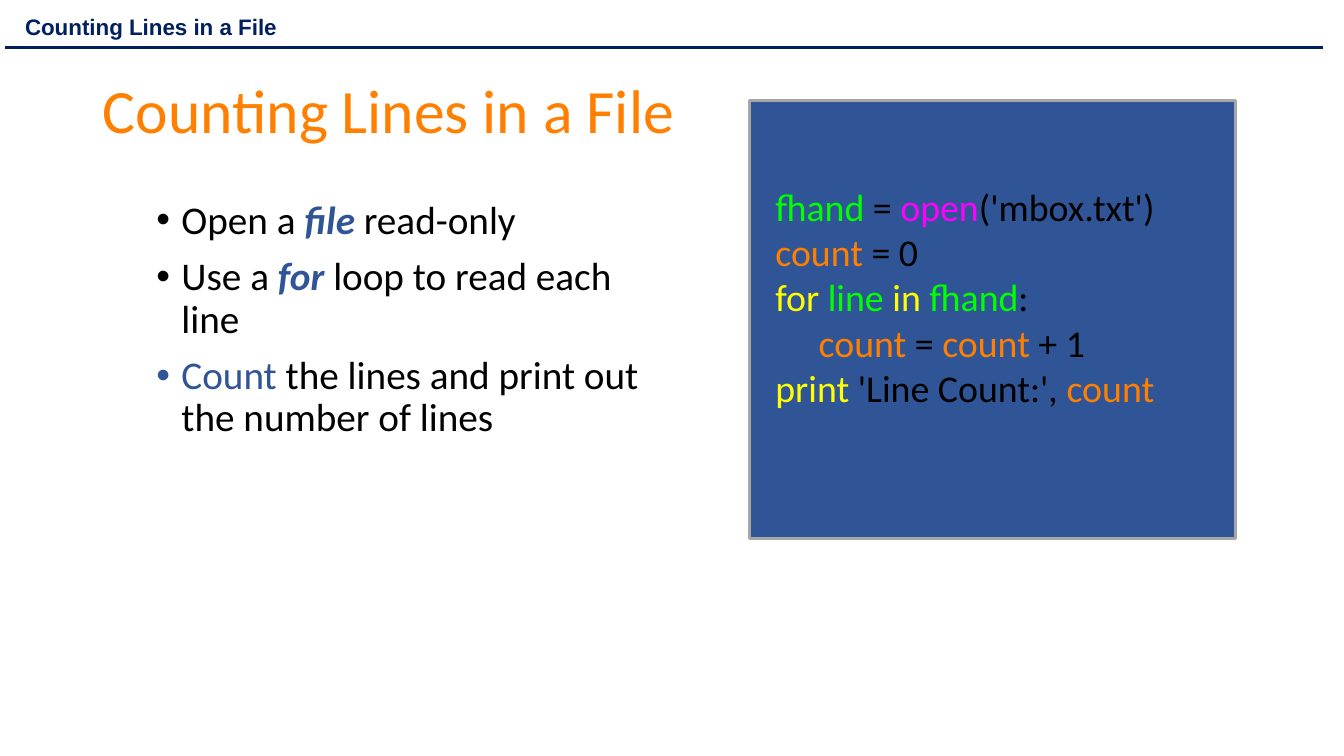
from dataclasses import dataclass

from lxml import etree
from pptx import Presentation
from pptx.dml.color import RGBColor
from pptx.enum.shapes import MSO_CONNECTOR, MSO_SHAPE
from pptx.enum.text import MSO_ANCHOR, MSO_AUTO_SIZE, PP_ALIGN
from pptx.oxml.ns import qn
from pptx.util import Inches, Pt

RECT = MSO_SHAPE.RECTANGLE
STRAIGHT = MSO_CONNECTOR.STRAIGHT
TOP, MIDDLE, BOTTOM = MSO_ANCHOR.TOP, MSO_ANCHOR.MIDDLE, MSO_ANCHOR.BOTTOM
LEFT = PP_ALIGN.LEFT
NO_AUTOFIT = MSO_AUTO_SIZE.NONE


@dataclass(frozen=True)
class Theme:
    font: str = "Calibri"
    header_font: str = "Arial"
    black: str = "000000"
    white: str = "FFFFFF"
    navy: str = "002060"
    blue: str = "2F5597"
    gray: str = "A6A6A6"
    orange: str = "FF7F00"
    green: str = "00FF00"
    magenta: str = "FF00FF"
    yellow: str = "FFFF00"
    title_size: int = 44
    body_size: int = 28
    code_size: int = 27
    header_size: int = 16


T = Theme()
TITLE = "Counting Lines in a File"

# Each run is (text, colour) or (text, colour, emphasised)
BULLETS = [
    [("Open a ", T.black), ("file", T.blue, True), (" read-only", T.black)],
    [("Use a ", T.black), ("for", T.blue, True),
     (" loop to read each line", T.black)],
    [("Count", T.blue),
     (" the lines and print out the number of lines", T.black)],
]

# Each code line is (indent in inches, runs)
CODE = [
    (0, [("fhand", T.green), (" = ", T.black), ("open", T.magenta),
         ("('mbox.txt')", T.black)]),
    (0, [("count", T.orange), (" = 0", T.black)]),
    (0, [("for ", T.yellow), ("line ", T.green), ("in ", T.yellow),
         ("fhand", T.green), (":", T.black)]),
    (0.43, [("count", T.orange), (" = ", T.black), ("count", T.orange),
            (" + 1", T.black)]),
    (0, [("print", T.yellow), (" 'Line Count:', ", T.black),
         ("count", T.orange)]),
]


def rgb(color):
    return RGBColor.from_string(color)


def style_run(r, size, color, font=T.font, bold=False, italic=False):
    r.font.name = font
    r.font.size = Pt(size)
    r.font.color.rgb = rgb(color)
    r.font.bold = bold
    r.font.italic = italic


def add_runs(p, runs, size):
    for text, color, *emphasis in runs:
        r = p.add_run()
        r.text = text
        style_run(r, size, color, bold=bool(emphasis), italic=bool(emphasis))


def paragraphs(tf, count):
    """Return the paragraphs of a frame extended to the given count."""
    for _ in range(count - 1):
        tf.add_paragraph()
    return tf.paragraphs


def indent(p, left, first=0):
    pPr = p._p.get_or_add_pPr()
    pPr.set("marL", str(Inches(left)))
    pPr.set("indent", str(Inches(first)))
    return pPr


def place(sp, left, top, width, height):
    sp.left, sp.top = Inches(left), Inches(top)
    sp.width, sp.height = Inches(width), Inches(height)


def prepare_frame(tf, anchor):
    tf.word_wrap = True
    tf.auto_size = NO_AUTOFIT
    tf.vertical_anchor = anchor


def set_line(tf, text, size, color, font=T.font, bold=False):
    tf.text = text
    p = tf.paragraphs[0]
    p.alignment = LEFT
    p.line_spacing = 0.9
    style_run(p.runs[0], size, color, font, bold)


def fill_title(sp):
    place(sp, 0.92, 0.4, 11.5, 1.45)
    prepare_frame(sp.text_frame, MIDDLE)
    set_line(sp.text_frame, TITLE, T.title_size, T.orange)


def fill_bullets(sp):
    place(sp, 1.09, 1.94, 5.39, 4.68)
    tf = sp.text_frame
    prepare_frame(tf, TOP)
    for p, runs in zip(paragraphs(tf, len(BULLETS)), BULLETS):
        p.line_spacing = 0.9
        p.space_before = Pt(10)
        pPr = indent(p, 0.61, -0.25)
        etree.SubElement(pPr, qn("a:buChar")).set("char", "•")
        add_runs(p, runs, T.body_size)


def add_rect(s, box, fill, line=None):
    sp = s.shapes.add_shape(RECT, *map(Inches, box))
    sp.shadow.inherit = False
    sp.fill.solid()
    sp.fill.fore_color.rgb = rgb(fill)
    if line:
        sp.line.color.rgb = rgb(line)
        sp.line.width = Pt(2.25)
    else:
        sp.line.fill.background()
    return sp


def add_code(s):
    tf = s.shapes.add_textbox(*map(Inches, (7.69, 1.21, 4.82, 3.93))).text_frame
    prepare_frame(tf, MIDDLE)
    tf.margin_left = tf.margin_top = tf.margin_right = 0
    tf.margin_bottom = Inches(0.46)  # raises the code by half a line
    for p, (left, runs) in zip(paragraphs(tf, len(CODE)), CODE):
        indent(p, left)
        add_runs(p, runs, T.code_size)


def add_header(s):
    tf = add_rect(s, (0.15, 0.1, 9.04, 0.35), T.white).text_frame
    prepare_frame(tf, BOTTOM)
    set_line(tf, TITLE, T.header_size, T.navy, T.header_font, bold=True)


def add_rule(s):
    rule = s.shapes.add_connector(
        STRAIGHT, *map(Inches, (0.05, 0.47, 13.12, 0.47)))
    rule.line.color.rgb = rgb(T.navy)
    rule.line.width = Pt(2.25)
    etree.SubElement(rule._element.spPr, qn("a:effectLst"))


def main():
    prs = Presentation()
    prs.slide_width, prs.slide_height = Inches(13.33), Inches(7.5)
    s = prs.slides.add_slide(prs.slide_layouts[1])

    # Title and list
    fill_title(s.shapes.title)
    fill_bullets(s.placeholders[1])

    # Code panel
    add_rect(s, (7.43, 1, 4.82, 4.34), T.blue, T.gray)
    add_code(s)

    # Header band
    add_header(s)
    add_rule(s)

    prs.save("out.pptx")


if __name__ == "__main__":
    main()
